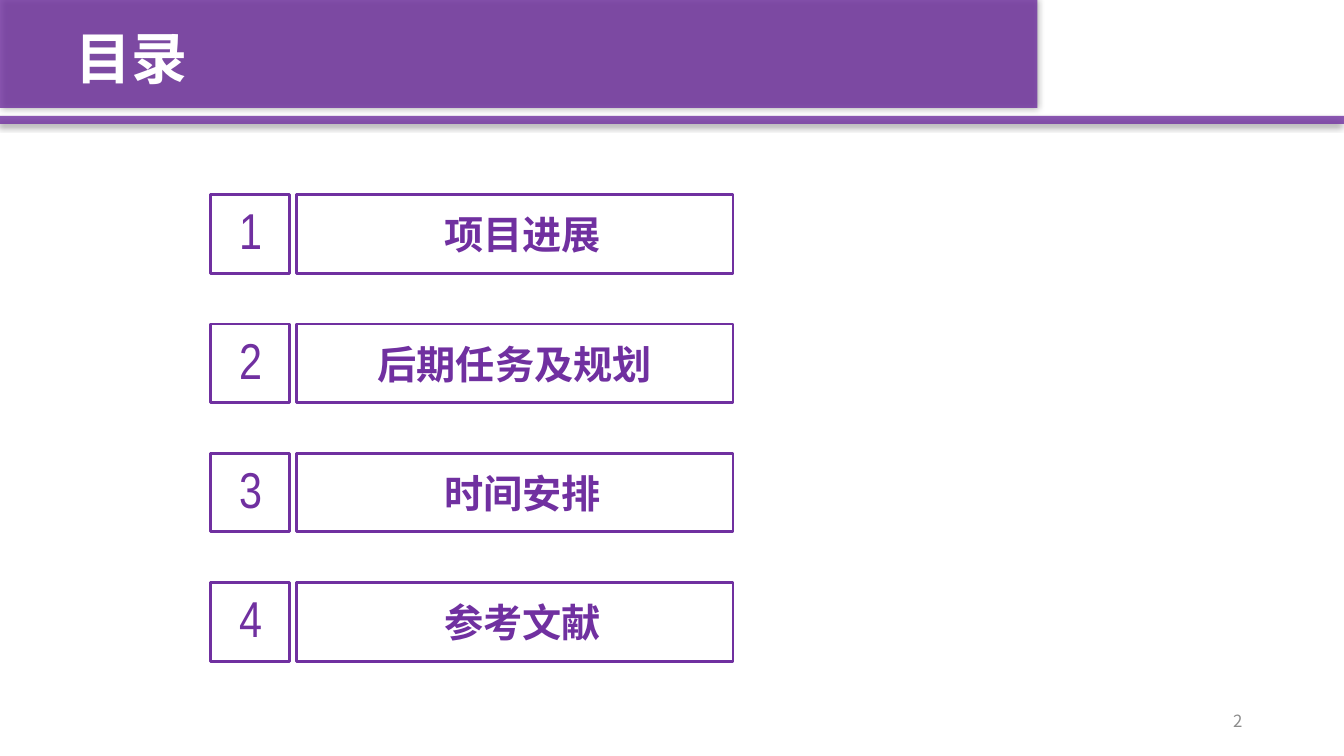
from lxml import etree
from pptx import Presentation
from pptx.dml.color import RGBColor
from pptx.enum import shapes, text
from pptx.oxml import parse_xml
from pptx.oxml.ns import nsdecls, qn
from pptx.util import Inches, Pt

PURPLE = "7030A0"
SANS = "Noto Sans CJK SC"


def color(value):
    return RGBColor.from_string(value)


def add_text(parent, content, left, top, width, height, size=28, font=SANS,
             fill=PURPLE, bold=False, align=text.PP_ALIGN.CENTER,
             anchor=text.MSO_ANCHOR.TOP, wrap=True):
    box = parent.add_textbox(Inches(left), Inches(top), Inches(width), Inches(height))
    frame = box.text_frame
    frame.word_wrap = wrap
    frame.vertical_anchor = anchor
    para = frame.paragraphs[0]
    para.alignment = align
    span = para.add_run()
    span.text = content
    span.font.size = Pt(size)
    span.font.bold = bold
    span.font.color.rgb = color(fill)
    span.font.name = font
    east_asian = etree.SubElement(span.font._element, qn("a:ea"))
    east_asian.set("typeface", font)


deck = Presentation()
deck.slide_width = Inches(13.33)
deck.slide_height = Inches(7.5)
page = deck.slides.add_slide(deck.slide_layouts[6])

add_text(page.shapes, "2", 9.42, 6.95, 3, 0.4, size=12, fill="8C8C8C",
         align=text.PP_ALIGN.RIGHT, anchor=text.MSO_ANCHOR.MIDDLE)

header = page.shapes.add_group_shape()
for top, width, height, blur, distance, angle in [
    (0, 10.29, 1.07, 5, 0, 0),
    (1.15, 13.33, 0.08, 4, 3, 135),
]:
    band = header.shapes.add_shape(shapes.MSO_SHAPE.RECTANGLE, Inches(0), Inches(top),
                                   Inches(width), Inches(height))
    band.fill.solid()
    band.fill.fore_color.rgb = color(PURPLE)
    band.line.fill.background()
    properties = band._element.spPr
    tint = properties.find(qn("a:solidFill")).find(qn("a:srgbClr"))
    etree.SubElement(tint, qn("a:alpha")).set("val", "80000")
    properties.append(parse_xml(
        f'<a:effectLst {nsdecls("a")}><a:outerShdw blurRad="{Pt(blur)}" '
        f'dist="{Pt(distance)}" dir="{angle * 60000}" rotWithShape="0">'
        '<a:srgbClr val="000000"><a:alpha val="40000"/></a:srgbClr>'
        '</a:outerShdw></a:effectLst>'))

add_text(page.shapes, "目录", 0.65, 0.18, 1.32, 0.77, size=40, fill="FFFFFF",
         bold=True, align=text.PP_ALIGN.LEFT, wrap=False)

chapters = [("项目进展", 3.26), ("后期任务及规划", 3.18), ("时间安排", 3.26), ("参考文献", 3.26)]
for index, (title, title_left) in enumerate(chapters):
    top = 1.93 + index * 3.85 / 3
    entry = page.shapes.add_group_shape().shapes
    for left, width in [(2.94, 4.33), (2.09, 0.78)]:
        frame_box = entry.add_shape(shapes.MSO_SHAPE.RECTANGLE, Inches(left), Inches(top),
                                    Inches(width), Inches(0.78))
        frame_box.shadow.inherit = False
        frame_box.fill.background()
        frame_box.line.color.rgb = color(PURPLE)
        frame_box.line.width = Pt(2)
    add_text(entry, title, title_left, top + 0.11, 3.85, 0.57, bold=True)
    add_text(entry, str(index + 1), 1.98, top, 1.01, 0.71, size=36, font="Arial Narrow")

deck.save("out.pptx")
